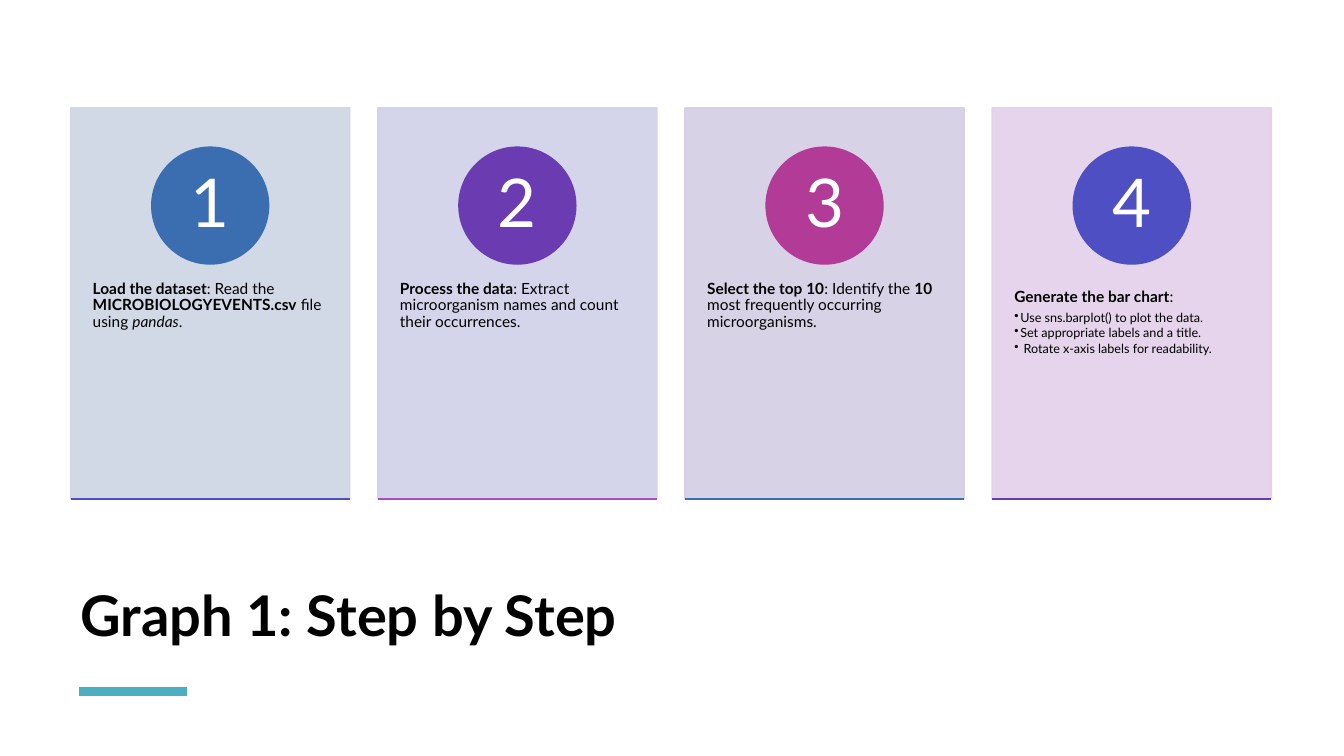
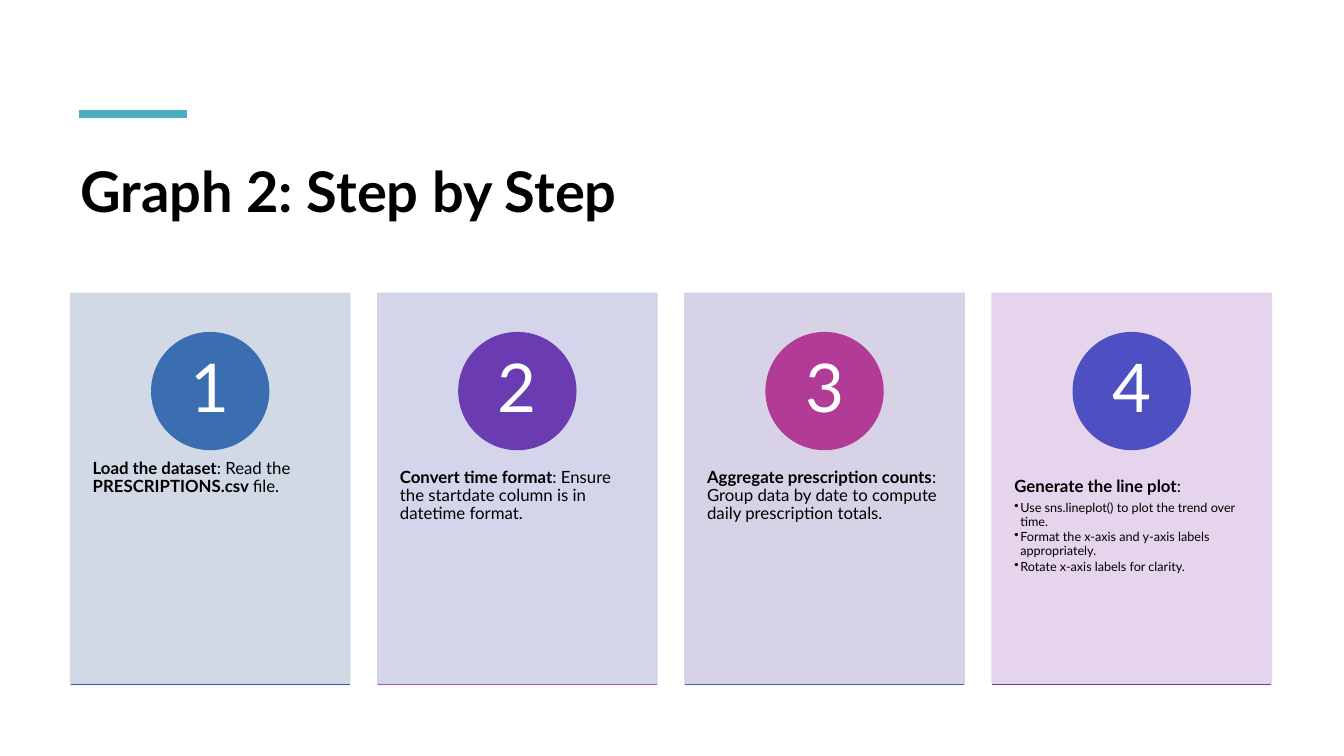
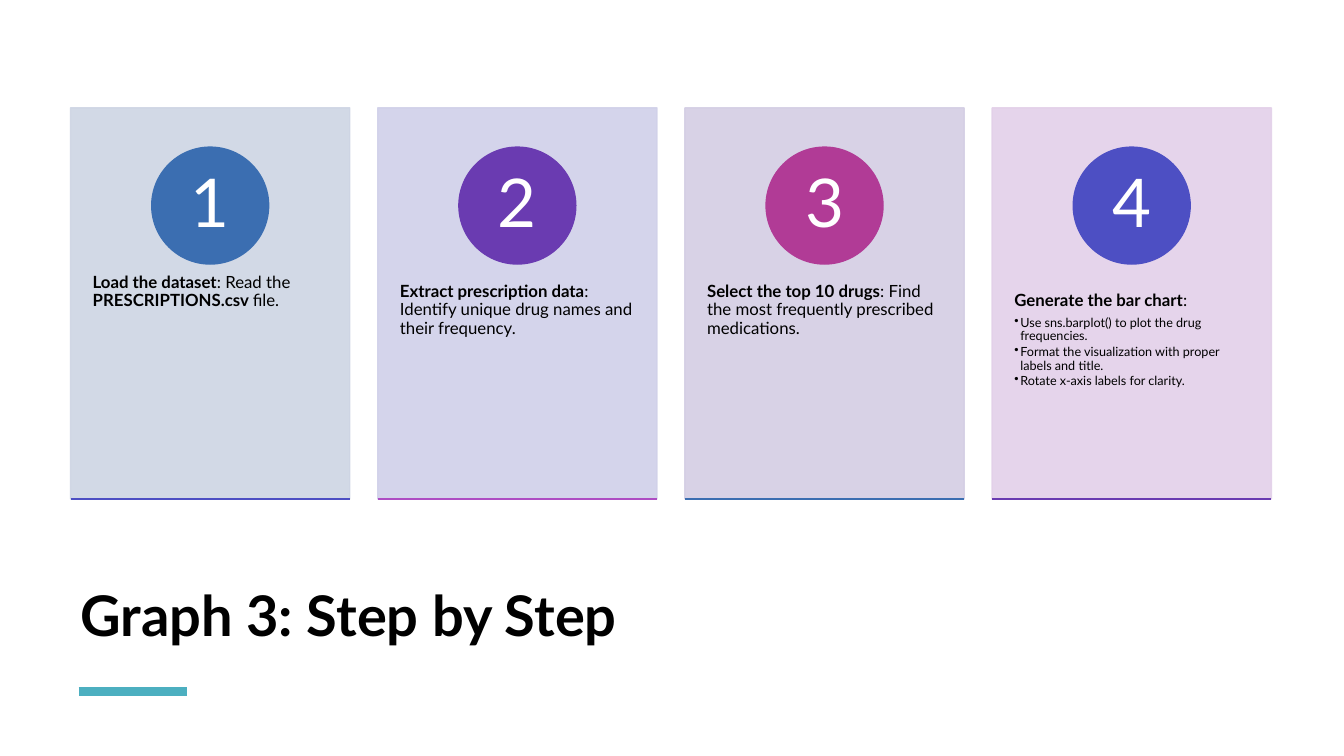
from lxml import etree
from pptx import Presentation
from pptx.dml.color import RGBColor
from pptx.enum.shapes import MSO_CONNECTOR, MSO_SHAPE
from pptx.enum.text import MSO_ANCHOR, PP_ALIGN
from pptx.oxml.ns import qn
from pptx.util import Inches, Pt

STRAIGHT = MSO_CONNECTOR.STRAIGHT
RECTANGLE, OVAL = MSO_SHAPE.RECTANGLE, MSO_SHAPE.OVAL
TOP, MIDDLE, BOTTOM = MSO_ANCHOR.TOP, MSO_ANCHOR.MIDDLE, MSO_ANCHOR.BOTTOM
LEFT, CENTER = PP_ALIGN.LEFT, PP_ALIGN.CENTER

FONT = "Lato"
COLOURS = {
    "text": "000000",
    "white": "FFFFFF",
    "accent": "4CAFC0",
    "blue": "3B6EB1",
    "violet": "6A3BB1",
    "magenta": "B13B96",
    "indigo": "4D4FC3",
    "orchid": "AE4DC3",
    "blue tint": "CED5E4",
    "indigo tint": "D0D0E9",
    "violet tint": "D4CEE4",
    "orchid tint": "E3D0E9",
}
CARD_STYLES = [
    ("blue tint", "blue", "indigo"),
    ("indigo tint", "violet", "orchid"),
    ("violet tint", "magenta", "blue"),
    ("orchid tint", "indigo", "violet"),
]
MARGIN, CONTENT_WIDTH = 0.7, 11.91
CARD_WIDTH, CARD_HEIGHT = 2.77, 3.88
CIRCLE_SIZE = 1.16
CARD_PITCH = (CONTENT_WIDTH - CARD_WIDTH) / (len(CARD_STYLES) - 1)
BULLET_SIZE = 9

TITLE_BELOW = {"title_top": 5.31, "title_height": 1.17, "anchor": BOTTOM,
               "accent_top": 6.86, "cards_top": 1.07}
TITLE_ABOVE = {"title_top": 1.5, "title_height": 1.2, "anchor": TOP,
               "accent_top": 1.13, "cards_top": 2.91}

BOLD, ITALIC, PLAIN = {"bold": True}, {"italic": True}, {}
LOAD_PRESCRIPTIONS = [("Load the dataset", BOLD), (": Read the ", PLAIN),
                      ("PRESCRIPTIONS.csv ", BOLD), ("file.", PLAIN)]
SLIDES = [
    {
        "title": "Graph 1: Step by Step",
        "arrangement": TITLE_BELOW,
        "size": 11,
        "steps": [
            [("Load the dataset", BOLD), (": Read the ", PLAIN),
             ("MICROBIOLOGYEVENTS.csv", BOLD), (" file using ", PLAIN),
             ("pandas", ITALIC), (".", PLAIN)],
            [("Process the data", BOLD),
             (": Extract microorganism names and count their occurrences.", PLAIN)],
            [("Select the top 10", BOLD), (": Identify the ", PLAIN), ("10", BOLD),
             (" most frequently occurring microorganisms.", PLAIN)],
            [("Generate the bar chart", BOLD), (":", PLAIN)],
        ],
        "bullets": ["Use sns.barplot() to plot the data.",
                    "Set appropriate labels and a title.",
                    " Rotate x-axis labels for readability."],
    },
    {
        "title": "Graph 2: Step by Step",
        "arrangement": TITLE_ABOVE,
        "size": 12,
        "steps": [
            LOAD_PRESCRIPTIONS,
            [("Convert time format", BOLD),
             (": Ensure the startdate column is in datetime format.", PLAIN)],
            [("Aggregate prescription counts", BOLD),
             (": Group data by date to compute daily prescription totals.", PLAIN)],
            [("Generate the line plot", BOLD), (":", PLAIN)],
        ],
        "bullets": ["Use sns.lineplot() to plot the trend over time.",
                    "Format the x-axis and y-axis labels appropriately.",
                    "Rotate x-axis labels for clarity."],
    },
    {
        "title": "Graph 3: Step by Step",
        "arrangement": TITLE_BELOW,
        "size": 12,
        "steps": [
            LOAD_PRESCRIPTIONS,
            [("Extract prescription data", BOLD),
             (": Identify unique drug names and their frequency.", PLAIN)],
            [("Select the top 10 drugs", BOLD),
             (": Find the most frequently prescribed medications.", PLAIN)],
            [("Generate the bar chart", BOLD), (":", PLAIN)],
        ],
        "bullets": ["Use sns.barplot() to plot the drug frequencies.",
                    "Format the visualization with proper labels and title.",
                    "Rotate x-axis labels for clarity."],
    },
]


def colour(name):
    return RGBColor.from_string(COLOURS[name])


def set_values(target, values):
    for name, value in values.items():
        setattr(target, name, value)


def set_frame(frame, anchor, across, down):
    set_values(frame, {
        "word_wrap": True, "vertical_anchor": anchor,
        "margin_left": Inches(across), "margin_right": Inches(across),
        "margin_top": Inches(down), "margin_bottom": Inches(down),
    })


def write(para, spans, size, name="text", **layout):
    set_values(para, layout)
    for text, style in spans:
        span = para.add_run()
        span.text = text
        set_values(span.font, {"name": FONT, "size": Pt(size), "bold": False, **style})
        span.font.color.rgb = colour(name)


def add_bullet(para):
    properties = para._p.get_or_add_pPr()
    properties.set("marL", str(Inches(0.06)))
    properties.set("indent", str(Inches(-0.06)))
    etree.SubElement(properties, qn("a:buChar")).set("char", "•")


def add_line(page, left, top, width, name, weight):
    line = page.shapes.add_connector(
        STRAIGHT, Inches(left), Inches(top), Inches(left + width), Inches(top))
    line.line.color.rgb = colour(name)
    line.line.width = Pt(weight)
    etree.SubElement(line._element.spPr, qn("a:effectLst"))


def add_filled(page, kind, left, top, width, height, name, opacity=100):
    shape = page.shapes.add_shape(
        kind, Inches(left), Inches(top), Inches(width), Inches(height))
    shape.shadow.inherit = False
    shape.fill.solid()
    shape.fill.fore_color.rgb = colour(name)
    shape.line.color.rgb = colour(name)
    shape.line.width = Pt(1)
    if opacity < 100:
        for tone in shape._element.spPr.iter(qn("a:srgbClr")):
            etree.SubElement(tone, qn("a:alpha")).set("val", str(opacity * 1000))
    return shape


def add_text_box(page, left, top, width, height, anchor, across=0.1, down=0.05):
    box = page.shapes.add_textbox(
        Inches(left), Inches(top), Inches(width), Inches(height))
    set_frame(box.text_frame, anchor, across, down)
    return box.text_frame


def add_title(page, text, arrangement):
    frame = add_text_box(page, MARGIN, arrangement["title_top"], CONTENT_WIDTH,
                         arrangement["title_height"], arrangement["anchor"])
    write(frame.paragraphs[0], [(text, BOLD)], 40, alignment=LEFT)
    add_line(page, MARGIN + 0.08, arrangement["accent_top"], 1.07, "accent", 6)


def add_card(page, left, top, number, styles, spans, size, bullets):
    tint, circle_colour, rule_colour = styles
    add_filled(page, RECTANGLE, left, top, CARD_WIDTH, CARD_HEIGHT, tint, 90)
    frame = add_text_box(page, left, top + 1.47, CARD_WIDTH, 2.33, TOP, 0.22, 0.36)
    write(frame.paragraphs[0], spans, size, alignment=LEFT, line_spacing=0.9,
          space_after=Pt(size * 0.35))
    for bullet in bullets:
        para = frame.add_paragraph()
        write(para, [(bullet, PLAIN)], BULLET_SIZE, alignment=LEFT,
              line_spacing=0.9, space_after=Pt(BULLET_SIZE * 0.15))
        add_bullet(para)
    circle = add_filled(page, OVAL, left + (CARD_WIDTH - CIRCLE_SIZE) / 2, top + 0.39,
                        CIRCLE_SIZE, CIRCLE_SIZE, circle_colour)
    set_frame(circle.text_frame, MIDDLE, 0.09, 0.01)
    write(circle.text_frame.paragraphs[0], [(str(number), PLAIN)], 48, "white",
          alignment=CENTER, line_spacing=0.9)
    add_line(page, left, top + CARD_HEIGHT, CARD_WIDTH, rule_colour, 1)


def add_steps_slide(deck, content):
    page = deck.slides.add_slide(deck.slide_layouts[6])
    arrangement = content["arrangement"]
    add_title(page, content["title"], arrangement)
    steps = content["steps"]
    for index, (styles, spans) in enumerate(zip(CARD_STYLES, steps)):
        bullets = content["bullets"] if index == len(steps) - 1 else []
        add_card(page, MARGIN + index * CARD_PITCH, arrangement["cards_top"],
                 index + 1, styles, spans, content["size"], bullets)


def main():
    deck = Presentation()
    set_values(deck, {"slide_width": Inches(13.33), "slide_height": Inches(7.5)})
    for content in SLIDES:
        add_steps_slide(deck, content)
    deck.save("out.pptx")


if __name__ == "__main__":
    main()
